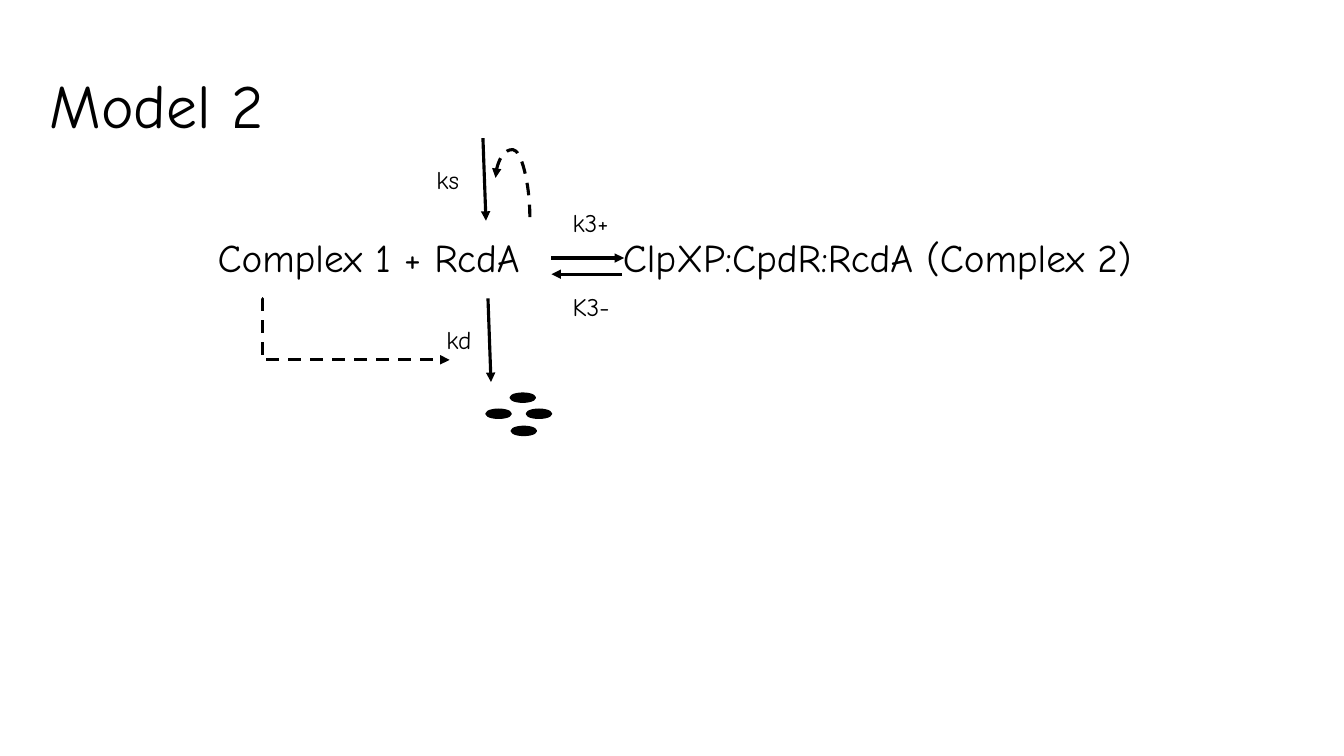
from dataclasses import dataclass

from lxml import etree
from pptx import Presentation
from pptx.dml.color import RGBColor
from pptx.enum import dml, shapes, text
from pptx.oxml.ns import qn
from pptx.util import Inches, Pt


@dataclass(frozen=True)
class Theme:
    font: str = "Comic Neue"
    ink: RGBColor = RGBColor(0, 0, 0)
    title: float = 44
    reaction: float = 28
    rate: float = 18
    arrow: float = 2.25
    outline: float = 1


theme = Theme()


def write(shape, words, size, wrap=True, fit=text.MSO_AUTO_SIZE.SHAPE_TO_FIT_TEXT):
    frame = shape.text_frame
    frame.word_wrap = wrap
    frame.auto_size = fit
    frame.vertical_anchor = text.MSO_ANCHOR.TOP
    paragraph = frame.paragraphs[0]
    paragraph.alignment = text.PP_ALIGN.LEFT
    run = paragraph.add_run()
    run.text = words
    run.font.name = theme.font
    run.font.size = Pt(size)
    run.font.color.rgb = theme.ink
    return paragraph


def arrow(start, end, kind=shapes.MSO_CONNECTOR.STRAIGHT, dashed=False, bend=None):
    """Draw an arrow; bend places the middle leg, in thousandths of a percent."""
    connector = slide.shapes.add_connector(kind, *map(Inches, start + end))
    connector.line.color.rgb = theme.ink
    connector.line.width = Pt(theme.arrow)
    if dashed:
        connector.line.dash_style = dml.MSO_LINE.DASH
    properties = connector._element.spPr
    etree.SubElement(properties.find(qn("a:ln")), qn("a:tailEnd"), type="triangle")
    etree.SubElement(properties, qn("a:effectLst"))
    if bend is not None:
        guides = properties.find(qn("a:prstGeom")).find(qn("a:avLst"))
        etree.SubElement(guides, qn("a:gd"), name="adj1", fmla=f"val {bend}")
    return connector


deck = Presentation()
deck.slide_width, deck.slide_height = Inches(13.33), Inches(7.5)
slide = deck.slides.add_slide(deck.slide_layouts[5])

title = slide.shapes.title
title.left, title.top = Inches(0.39), Inches(0.61)
title.width, title.height = Inches(2.53), Inches(0.84)
write(title, "Model 2", theme.title, fit=text.MSO_AUTO_SIZE.NONE)

# Reaction: a tab stop leaves room for the pair of arrows
reaction = slide.shapes.add_textbox(Inches(2.06), Inches(2.27), Inches(11.2), Inches(0.57))
equation = write(reaction, "Complex 1 + RcdA\tClpXP:CpdR:RcdA (Complex 2)", theme.reaction)
tab_stops = etree.SubElement(equation._p.get_or_add_pPr(), qn("a:tabLst"))
etree.SubElement(tab_stops, qn("a:tab"), pos=str(Inches(4.02)), algn="l")

arrow((5.47, 2.56), (6.19, 2.56))  # binding
arrow((6.17, 2.72), (5.47, 2.72))  # release
arrow((4.79, 1.37), (4.82, 2.19))  # synthesis
arrow((4.84, 2.96), (4.87, 3.79))  # degradation

rates = [("ks", 4.23, 1.58, 0.46), ("kd", 4.33, 3.17, 0.49),
         ("k3+", 5.58, 2.01, 0.61), ("K3-", 5.58, 2.84, 0.62)]
for rate, left, top, width in rates:
    label = slide.shapes.add_textbox(Inches(left), Inches(top), Inches(width), Inches(0.4))
    write(label, rate, theme.rate, wrap=False)

# Degradation products
for left, top in [(5.06, 3.9), (4.82, 4.06), (5.22, 4.06), (5.07, 4.23)]:
    fragment = slide.shapes.add_shape(
        shapes.MSO_SHAPE.OVAL, Inches(left), Inches(top), Inches(0.25), Inches(0.09))
    fragment.shadow.inherit = False
    fragment.fill.solid()
    fragment.fill.fore_color.rgb = theme.ink
    fragment.line.color.rgb = theme.ink
    fragment.line.width = Pt(theme.outline)

# Regulation: RcdA on its own synthesis, Complex 1 on degradation
feedback = arrow((4.89, 2.13), (5.28, 1.79), shapes.MSO_CONNECTOR.CURVE, dashed=True, bend=172000)
feedback._element.spPr.find(qn("a:xfrm")).set("rot", str(270 * 60000))
arrow((2.6, 2.96), (4.46, 3.57), shapes.MSO_CONNECTOR.ELBOW, dashed=True, bend=100)

deck.save("out.pptx")
